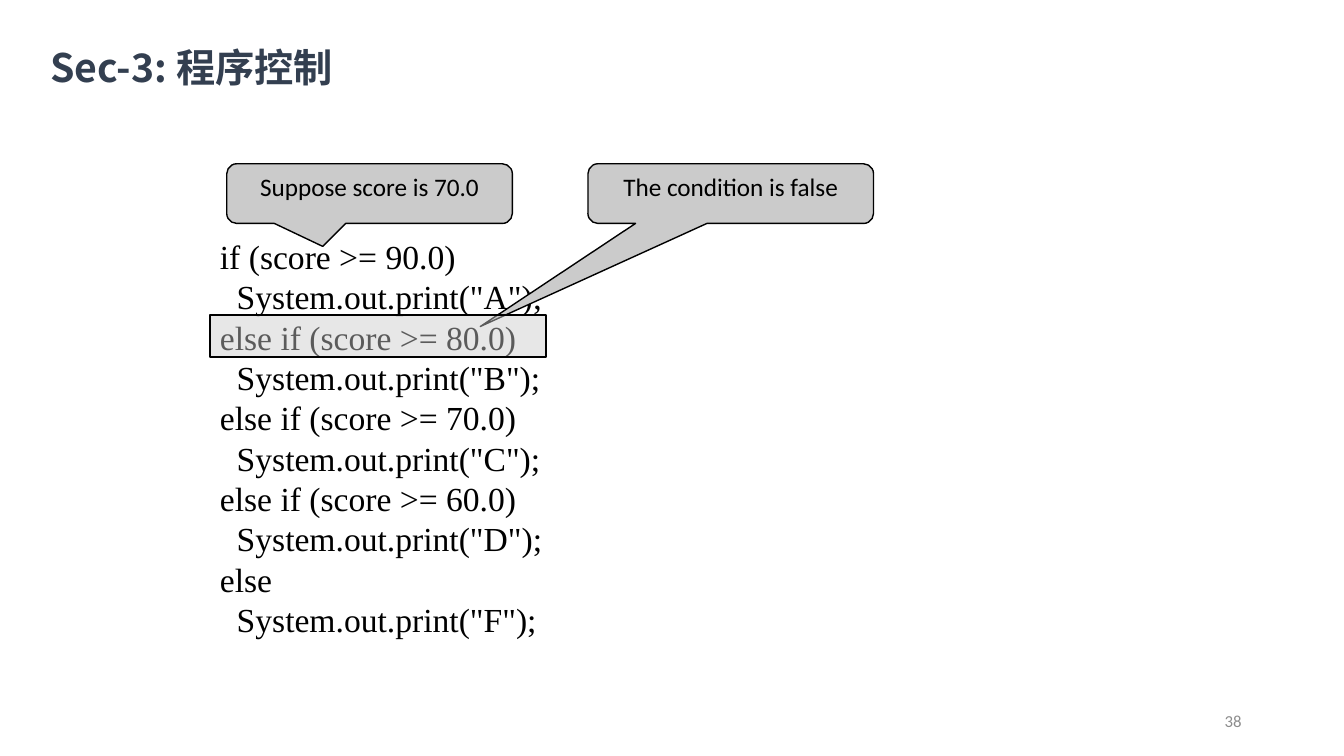
from lxml import etree
from pptx import Presentation
from pptx.dml.color import RGBColor
from pptx.enum.shapes import MSO_SHAPE
from pptx.enum.text import MSO_ANCHOR, PP_ALIGN
from pptx.oxml.ns import qn
from pptx.util import Inches, Pt

CALLOUT = MSO_SHAPE.ROUNDED_RECTANGULAR_CALLOUT
RECTANGLE = MSO_SHAPE.RECTANGLE
TOP, MIDDLE = MSO_ANCHOR.TOP, MSO_ANCHOR.MIDDLE
LEFT, CENTER, RIGHT = PP_ALIGN.LEFT, PP_ALIGN.CENTER, PP_ALIGN.RIGHT

deck = Presentation()
deck.slide_width, deck.slide_height = Inches(13.333), Inches(7.5)
page = deck.slides.add_slide(deck.slide_layouts[6])

# Square grid: 32 columns by 18 rows
unit = deck.slide_width / 32


def place(column, row, columns, rows, kind=None):
    area = [int(unit * value) for value in (column, row, columns, rows)]
    if kind is None:
        return page.shapes.add_textbox(*area)
    shape = page.shapes.add_shape(kind, *area)
    shape.shadow.inherit = False
    shape.fill.solid()
    shape.fill.fore_color.rgb = RGBColor.from_string("CBCBCB")
    shape.line.color.rgb = RGBColor.from_string("000000")
    shape.line.width = Pt(1)
    return shape


def write(box, lines, size, font, color, align=LEFT, anchor=TOP):
    frame = box.text_frame
    frame.word_wrap = True
    frame.vertical_anchor = anchor
    for index, line in enumerate(lines):
        para = frame.add_paragraph() if index else frame.paragraphs[0]
        para.alignment = align
        span = para.add_run()
        span.text = line
        span.font.size = Pt(size)
        span.font.name = font
        span.font.color.rgb = RGBColor.from_string(color)
    return span


# Slide number
number_box = place(22.6, 16.68, 7.2, 0.96)
write(number_box, ["38"], 12, "Calibri", "8C8C8C", RIGHT, MIDDLE)

# Code: one branch per grade
branches = [
    ("if (score >= 90.0)", "A"),
    ("else if (score >= 80.0)", "B"),
    ("else if (score >= 70.0)", "C"),
    ("else if (score >= 60.0)", "D"),
    ("else", "F"),
]
code = []
for condition, grade in branches:
    code += [condition, f'  System.out.print("{grade}");']
write(place(5, 5.5, 9, 9.84), code, 24, "Times New Roman", "000000")

# Callouts: column, text, pointer position
callouts = [
    (5.4, "Suppose score is 70.0", (-0.164, 0.885)),
    (14, "The condition is false", (-0.877, 2.228)),
]
for column, text, pointer in callouts:
    callout = place(column, 3.9, 6.8, 1.42, CALLOUT)
    callout.adjustments[0], callout.adjustments[1] = pointer
    write(callout, [text], 18, "Calibri", "000000", CENTER)

# Translucent highlight over the tested condition
highlight = place(5, 7.5, 8, 1, RECTANGLE)
fill_color = highlight.fill._xPr.find(qn("a:solidFill"))[0]
etree.SubElement(fill_color, qn("a:alpha"), val="45000")

# Title
title_box = place(1.2, 1, 15.55, 1.15)
title_frame = title_box.text_frame
title_frame.margin_left = title_frame.margin_right = 0
title_frame.margin_top, title_frame.margin_bottom = Inches(0.01), 0
title = write(title_box, ["Sec-3: 程序控制"], 28, "Noto Sans CJK SC", "333F50")
title.font.bold = True
east_asian = etree.SubElement(title.font._element, qn("a:ea"))
east_asian.set("typeface", "Noto Sans CJK SC")

deck.save("out.pptx")
